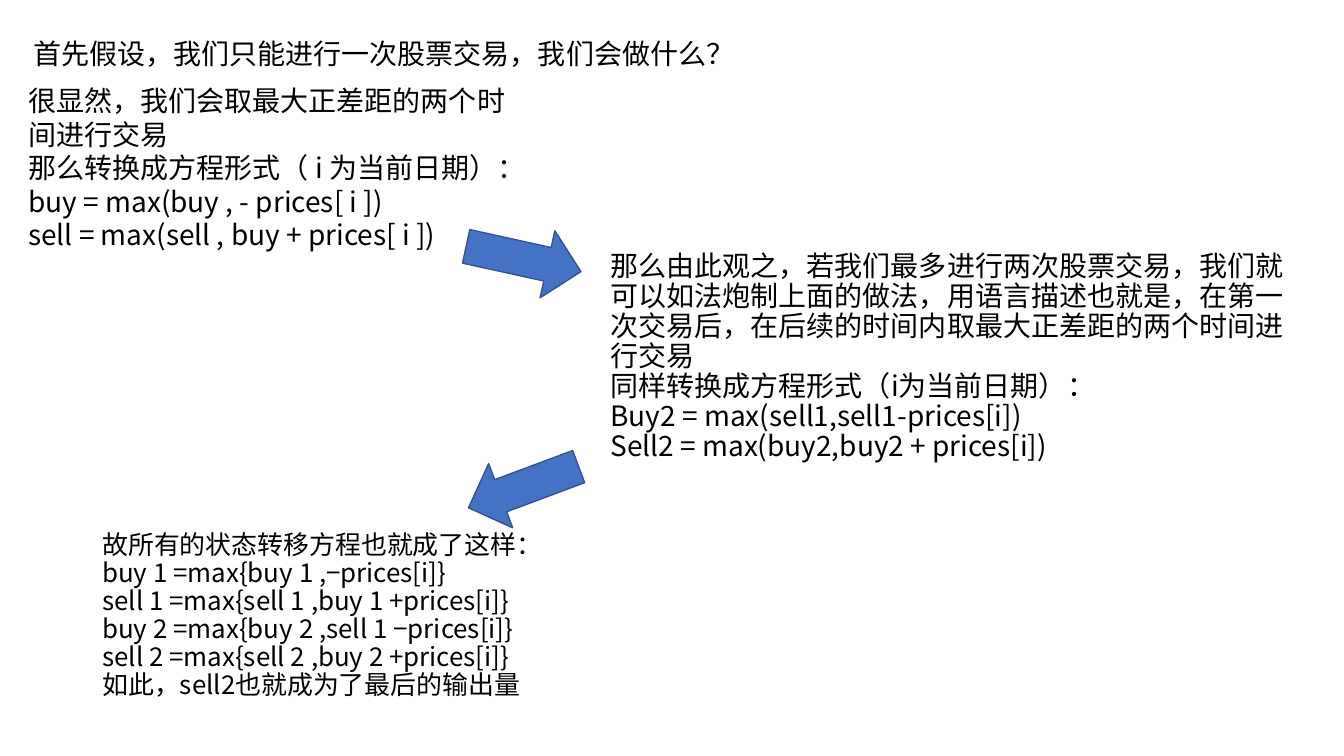
from lxml import etree
from pptx import Presentation
from pptx.dml.color import RGBColor
from pptx.enum.shapes import MSO_SHAPE
from pptx.enum.text import MSO_ANCHOR, MSO_AUTO_SIZE, PP_ALIGN
from pptx.oxml.ns import qn
from pptx.util import Pt

FONT = "Noto Sans CJK JP"
BLACK = RGBColor(0x00, 0x00, 0x00)
BLUE = RGBColor(0x44, 0x72, 0xC4)
DARK_BLUE = RGBColor(0x32, 0x54, 0x91)
TOP, MIDDLE = MSO_ANCHOR.TOP, MSO_ANCHOR.MIDDLE
LEFT = PP_ALIGN.LEFT
NO_AUTOFIT = MSO_AUTO_SIZE.NONE
RIGHT_ARROW = MSO_SHAPE.RIGHT_ARROW

TITLE = ["首先假设，我们只能进行一次股票交易，我们会做什么？"]
ONE_TRADE = [
    "很显然，我们会取最大正差距的两个时间进行交易",
    "那么转换成方程形式（ i 为当前日期）：",
    "buy = max(buy , - prices[ i ])",
    "sell = max(sell , buy + prices[ i ])",
]
TWO_TRADES = [
    "那么由此观之，若我们最多进行两次股票交易，我们就可以如法炮制上面的做法，"
    "用语言描述也就是，在第一次交易后，在后续的时间内取最大正差距的两个时间进行交易",
    "同样转换成方程形式（i为当前日期）：",
    "Buy2 = max(sell1,sell1-prices[i])",
    "Sell2 = max(buy2,buy2 + prices[i])",
]
ALL_STATES = [
    "故所有的状态转移方程也就成了这样：",
    "buy 1 =max{buy 1 ,−prices[i]}",
    "sell 1 =max{sell 1 ,buy 1 +prices[i]}",
    "buy 2 =max{buy 2 ,sell 1 −prices[i]}",
    "sell 2 =max{sell 2 ,buy 2 +prices[i]}",
    "如此，sell2也就成为了最后的输出量",
]

# Left, top, width, height
TITLE_BOX = (16.5, 11.5, 510.5, 55.5)
ONE_TRADE_BOX = (13, 56, 372, 158.5)
TWO_TRADES_BOX = (429, 170, 510.5, 170)
ALL_STATES_BOX = (66, 376, 339, 133)

ARROW_LEFT, ARROW_WIDTH, ARROW_HEIGHT = 332, 84, 49
ARROWS = [(160.5, 12.4), (323.5, 159.5)]  # top, rotation


def fill_text(shape, box, lines, size, line_height, anchor):
    shape.left, shape.top, shape.width, shape.height = map(Pt, box)
    frame = shape.text_frame
    frame.word_wrap = True
    frame.auto_size = NO_AUTOFIT
    frame.vertical_anchor = anchor
    for index, line in enumerate(lines):
        paragraph = frame.add_paragraph() if index else frame.paragraphs[0]
        paragraph.alignment = LEFT
        paragraph.line_spacing = Pt(line_height)
        paragraph.space_before = paragraph.space_after = Pt(0)
        properties = paragraph._p.get_or_add_pPr()
        properties.set("marL", "0")
        properties.set("indent", "0")
        etree.SubElement(properties, qn("a:buNone"))
        run = paragraph.add_run()
        run.text = line
        run.font.size = Pt(size)
        run.font.name = FONT
        run.font.color.rgb = BLACK
        east_asian = etree.SubElement(run._r.get_or_add_rPr(), qn("a:ea"))
        east_asian.set("typeface", FONT)


def add_arrow(slide, top, rotation):
    arrow = slide.shapes.add_shape(
        RIGHT_ARROW, Pt(ARROW_LEFT), Pt(top), Pt(ARROW_WIDTH), Pt(ARROW_HEIGHT))
    arrow.rotation = rotation
    arrow.shadow.inherit = False
    arrow.fill.solid()
    arrow.fill.fore_color.rgb = BLUE
    arrow.line.color.rgb = DARK_BLUE
    arrow.line.width = Pt(1)


def main():
    presentation = Presentation()
    presentation.slide_width, presentation.slide_height = Pt(960), Pt(540)
    slide = presentation.slides.add_slide(presentation.slide_layouts[1])

    fill_text(slide.shapes.title, TITLE_BOX, TITLE, 20, 21.5, MIDDLE)
    fill_text(slide.placeholders[1], ONE_TRADE_BOX, ONE_TRADE, 20, 24, TOP)
    for box, lines, size, line_height, anchor in (
        (TWO_TRADES_BOX, TWO_TRADES, 20, 21.5, MIDDLE),
        (ALL_STATES_BOX, ALL_STATES, 18.5, 20, TOP),
    ):
        text_box = slide.shapes.add_textbox(*map(Pt, box))
        fill_text(text_box, box, lines, size, line_height, anchor)
    for top, rotation in ARROWS:
        add_arrow(slide, top, rotation)

    presentation.save("out.pptx")


if __name__ == "__main__":
    main()
